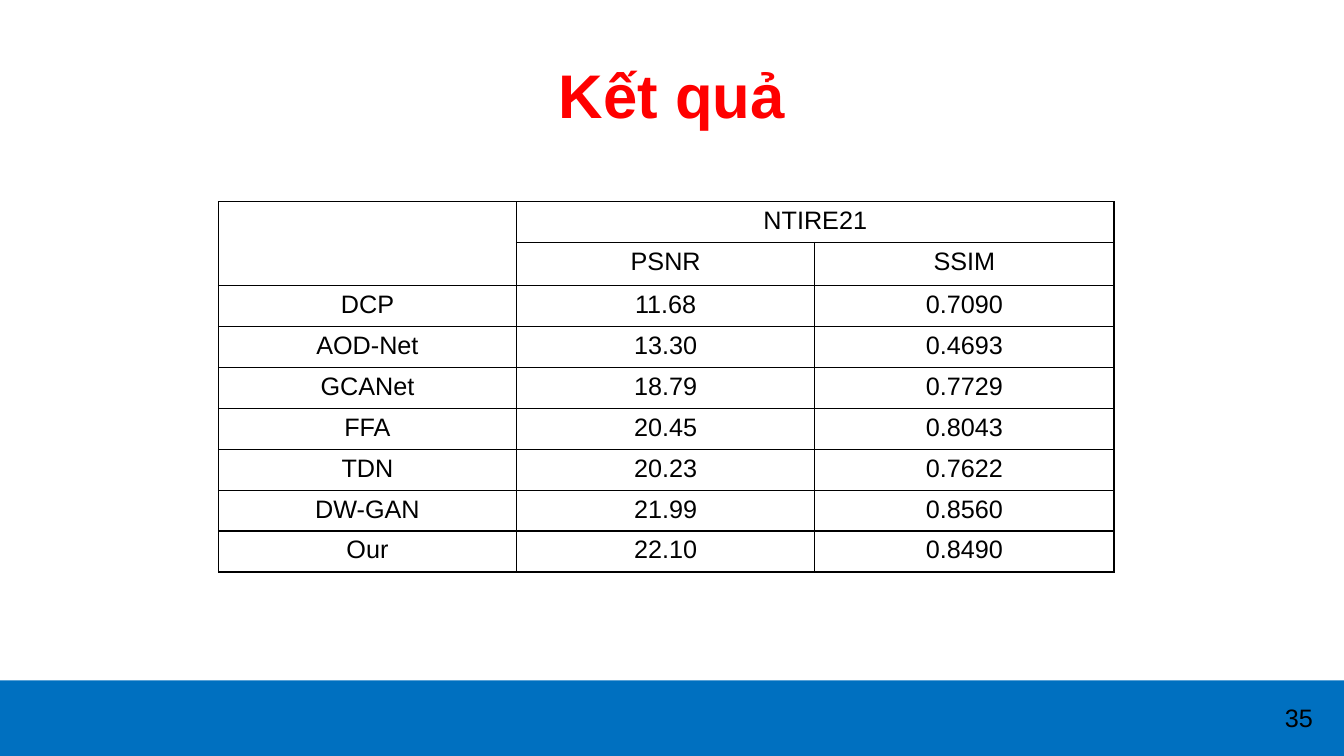
from lxml import etree
from pptx import Presentation
from pptx import util as u
from pptx.dml.color import RGBColor
from pptx.enum import shapes, text
from pptx.oxml.ns import qn

PX = 9525  # EMU per px, 96 px to the inch
hue = RGBColor.from_string


def write(frame, words, size=18, color="000000", bold=False):
    """Put one centred line into a text frame."""
    frame.word_wrap = True
    para = frame.paragraphs[0]
    para.alignment = text.PP_ALIGN.CENTER
    run = para.add_run()
    run.text = words
    font = run.font
    font.name, font.size, font.bold = "Arial", u.Pt(size), bold
    font.color.rgb = hue(color)


def edge(cell):
    """Draw a thin black line on the four sides of a cell."""
    props = cell._tc.get_or_add_tcPr()
    for side in ("a:lnL", "a:lnR", "a:lnT", "a:lnB"):
        line = etree.SubElement(props, qn(side), w=str(u.Pt(1)))
        fill = etree.SubElement(line, qn("a:solidFill"))
        etree.SubElement(fill, qn("a:srgbClr"), val="000000")


deck = Presentation()
deck.slide_width, deck.slide_height = 1280 * PX, 720 * PX
slide = deck.slides.add_slide(deck.slide_layouts[6])
items = slide.shapes

# Footer band and page number
band = items.add_shape(shapes.MSO_SHAPE.RECTANGLE, 0, 648 * PX, 1280 * PX, 72 * PX)
band.shadow.inherit = False
band.fill.solid()
band.fill.fore_color.rgb = hue("0070C0")
band.line.fill.background()
page = items.add_textbox(1194 * PX, 664 * PX, 86 * PX, 38 * PX)
write(page.text_frame, "35")

# Title
title = items.add_textbox(64 * PX, 29 * PX, 1152 * PX, 120 * PX)
title.text_frame.vertical_anchor = text.MSO_ANCHOR.MIDDLE
write(title.text_frame, "Kết quả", size=44, color="FF0000", bold=True)

# Results table
rows = [
    ("", "NTIRE21", ""),
    ("", "PSNR", "SSIM"),
    ("DCP", "11.68", "0.7090"),
    ("AOD-Net", "13.30", "0.4693"),
    ("GCANet", "18.79", "0.7729"),
    ("FFA", "20.45", "0.8043"),
    ("TDN", "20.23", "0.7622"),
    ("DW-GAN", "21.99", "0.8560"),
    ("Our", "22.10", "0.8490"),
]
table = items.add_table(len(rows), 3, 208 * PX, 192 * PX, 853 * PX, 353 * PX).table
table.first_row = table.horz_banding = False
for col, wide in zip(table.columns, (284, 284, 285)):
    col.width = wide * PX
for r, row in enumerate(rows):
    table.rows[r].height = (41 if r == 1 else 39) * PX
    for c, words in enumerate(row):
        cell = table.cell(r, c)
        edge(cell)
        cell.fill.solid()
        cell.fill.fore_color.rgb = hue("FFFFFF")
        if words:
            write(cell.text_frame, words)
table.cell(0, 0).merge(table.cell(1, 0))
table.cell(0, 1).merge(table.cell(0, 2))

deck.save("out.pptx")
